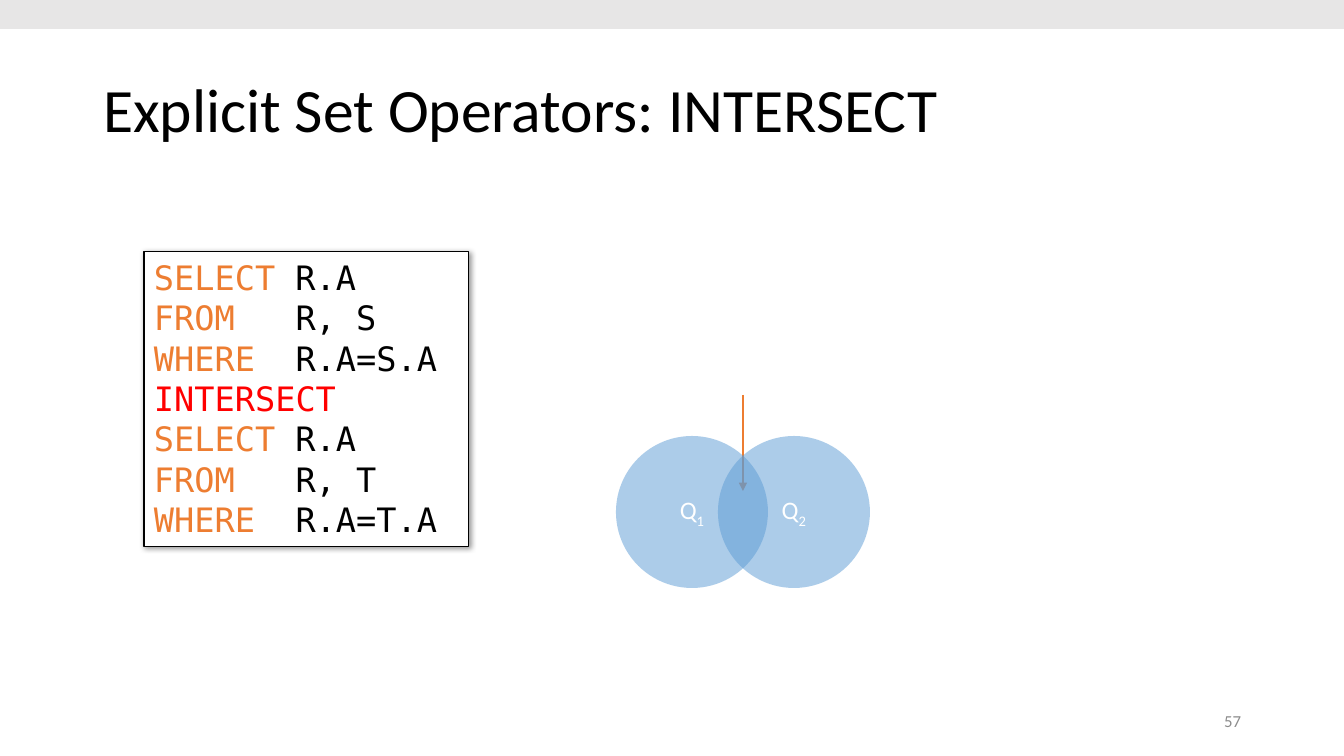
"""Build the slide on the INTERSECT set operator."""
from lxml import etree
from pptx import Presentation
from pptx.dml.color import RGBColor
from pptx.enum.shapes import MSO_CONNECTOR as Connector, MSO_SHAPE as Shape
from pptx.enum.text import MSO_ANCHOR as Anchor, MSO_AUTO_SIZE as AutoSize, PP_ALIGN as Align
from pptx.oxml import parse_xml
from pptx.oxml.ns import nsdecls, qn
from pptx.util import Pt

TITLE = "Explicit Set Operators: INTERSECT"
PAGE = "57"
QUERY = [
    [("SELECT", "orange"), (" R.A", "black")],
    [("FROM", "orange"), ("   R, S", "black")],
    [("WHERE", "orange"), ("  R.A=S.A", "black")],
    [("INTERSECT", "red")],
    [("SELECT", "orange"), (" R.A", "black")],
    [("FROM", "orange"), ("   R, T", "black")],
    [("WHERE", "orange"), ("  R.A=T.A", "black")],
]
SETS = [("Q", "1"), ("Q", "2")]

COLORS = {"black": "000000", "white": "FFFFFF", "orange": "ED7D31", "red": "FF0000",
          "blue": "5B9BD5", "band": "E7E6E6", "gray": "8C8C8C"}
BODY, MONO = "Calibri", "DejaVu Sans Mono"
WIDTH, HEIGHT = 1344, 756
TITLE_BOX = (93, 40, 1159, 146)
PAGE_BOX = (949, 701, 302, 40)
QUERY_BOX = (144, 252, 325, 295)
CIRCLE_LEFT, CIRCLE_TOP, DIAMETER, CIRCLE_STEP = 616, 436, 152, 102
ARROW_TOP, ARROW_BOTTOM = 395, 491
BAND_HEIGHT = 29


def px(length):
    return round(length * 914400 / 100.8)


def box(*lengths):
    return [px(length) for length in lengths]


def rgb(name):
    return RGBColor.from_string(COLORS[name])


def apply(target, **values):
    for name, value in values.items():
        setattr(target, name, value)


def add_run(paragraph, text, size, color, font=BODY):
    run = paragraph.add_run()
    run.text = text
    apply(run.font, size=Pt(size), name=font)
    run.font.color.rgb = rgb(color)
    return run


def fill_plain(shape, color):
    shape.shadow.inherit = False
    shape.fill.solid()
    shape.fill.fore_color.rgb = rgb(color)
    shape.line.fill.background()


def add_title(slide):
    title = slide.shapes.title
    apply(title, **dict(zip(("left", "top", "width", "height"), box(*TITLE_BOX))))
    apply(title.text_frame, vertical_anchor=Anchor.MIDDLE, word_wrap=True)
    paragraph = title.text_frame.paragraphs[0]
    apply(paragraph, alignment=Align.LEFT, line_spacing=0.9)
    add_run(paragraph, TITLE, 44, "black")


def add_page_number(slide):
    frame = slide.shapes.add_textbox(*box(*PAGE_BOX)).text_frame
    apply(frame, vertical_anchor=Anchor.MIDDLE, word_wrap=True)
    frame.paragraphs[0].alignment = Align.RIGHT
    add_run(frame.paragraphs[0], PAGE, 12, "gray")


def add_query(slide):
    panel = slide.shapes.add_textbox(*box(*QUERY_BOX))
    fill_plain(panel, "white")
    panel.line.color.rgb = rgb("black")
    panel.line.width = Pt(0.75)
    effects = panel._element.spPr.find(qn("a:effectLst"))
    effects.append(parse_xml(
        f'<a:outerShdw {nsdecls("a")} blurRad="{Pt(4)}" dist="{Pt(1)}" dir="2700000" '
        f'algn="tl" rotWithShape="0"><a:srgbClr val="{COLORS["black"]}">'
        '<a:alpha val="40000"/></a:srgbClr></a:outerShdw>'))
    frame = panel.text_frame
    apply(frame, word_wrap=True, auto_size=AutoSize.SHAPE_TO_FIT_TEXT)
    for index, line in enumerate(QUERY):
        paragraph = frame.add_paragraph() if index else frame.paragraphs[0]
        for text, color in line:
            add_run(paragraph, text, 24, color, MONO)


def add_arrow(slide):
    middle = CIRCLE_LEFT + (CIRCLE_STEP + DIAMETER) / 2
    arrow = slide.shapes.add_connector(
        Connector.STRAIGHT, *box(middle, ARROW_TOP, middle, ARROW_BOTTOM))
    arrow.line.color.rgb = rgb("orange")
    arrow.line.width = Pt(1.5)
    etree.SubElement(arrow.line._get_or_add_ln(), qn("a:tailEnd"), type="triangle")
    etree.SubElement(arrow._element.spPr, qn("a:effectLst"))


def add_venn(slide):
    group = slide.shapes.add_group_shape()
    for index, (letter, number) in enumerate(SETS):
        left = CIRCLE_LEFT + index * CIRCLE_STEP
        circle = group.shapes.add_shape(
            Shape.OVAL, *box(left, CIRCLE_TOP, DIAMETER, DIAMETER))
        fill_plain(circle, "blue")
        color = circle._element.spPr.find(qn("a:solidFill"))[0]
        etree.SubElement(color, qn("a:alpha"), val="50000")
        circle.text_frame.vertical_anchor = Anchor.MIDDLE
        paragraph = circle.text_frame.paragraphs[0]
        paragraph.alignment = Align.CENTER
        add_run(paragraph, letter, 18, "white")
        subscript = add_run(paragraph, number, 18, "white")
        subscript.font._element.set("baseline", "-25000")


def add_band(slide):
    band = slide.shapes.add_shape(Shape.RECTANGLE, *box(0, 0, WIDTH, BAND_HEIGHT))
    fill_plain(band, "band")


def main():
    presentation = Presentation()
    apply(presentation, slide_width=px(WIDTH), slide_height=px(HEIGHT))
    slide = presentation.slides.add_slide(presentation.slide_layouts[5])
    for add_part in (add_title, add_page_number, add_query, add_arrow, add_venn, add_band):
        add_part(slide)
    presentation.save("out.pptx")


if __name__ == "__main__":
    main()
